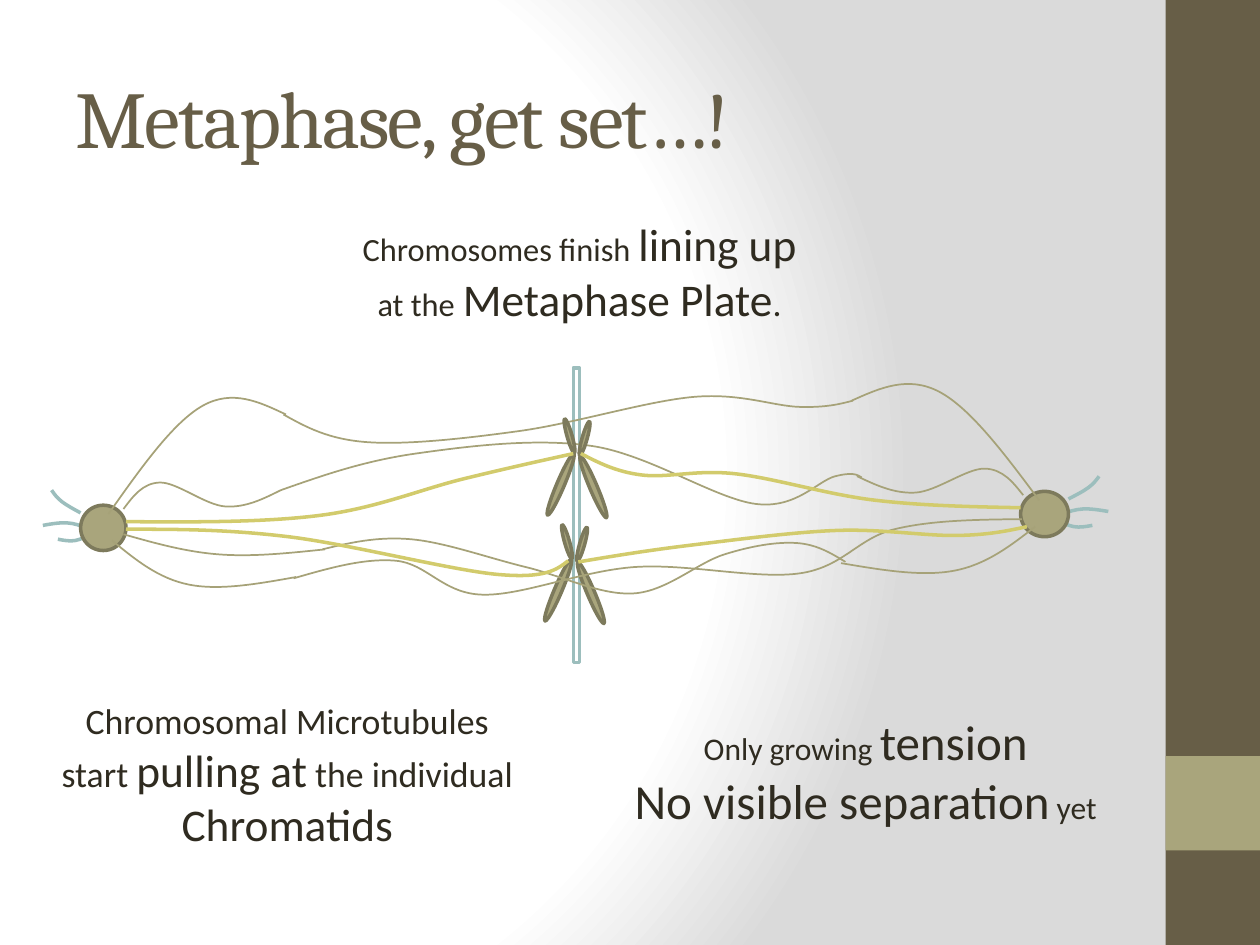
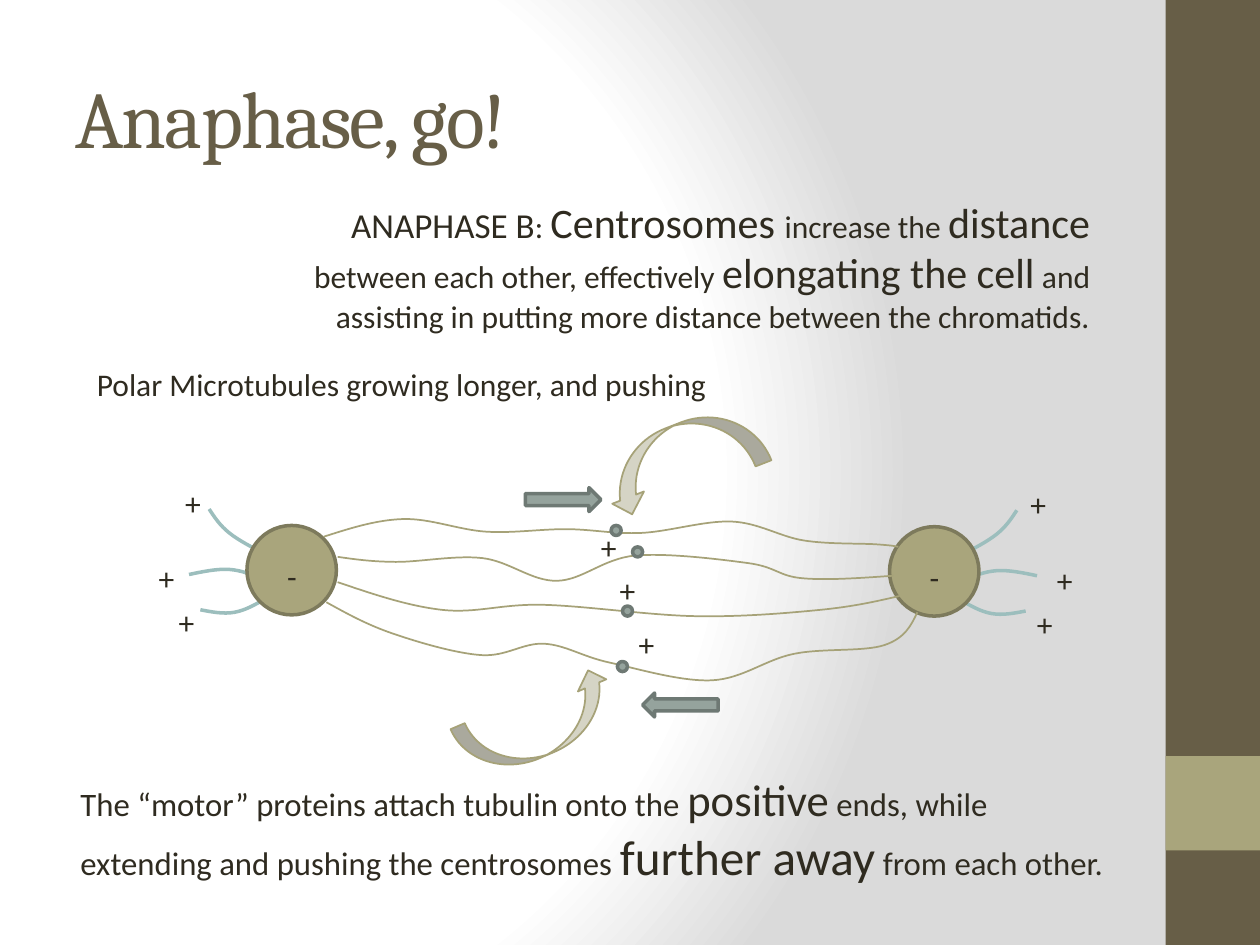
from lxml.etree import SubElement
from pptx import Presentation
from pptx.dml.color import RGBColor
from pptx.enum.shapes import MSO_SHAPE
from pptx.enum.text import MSO_ANCHOR, PP_ALIGN
from pptx.oxml import parse_xml
from pptx.oxml.ns import nsdecls, qn
from pptx.util import Pt

PX = 9144
DARK, OLIVE, EDGE = "675E47", "A9A57C", "7D7A5C"
INK, TEAL, TUBE, GOLD = "2F2B20", "9CBEBD", "A6A278", "D2CB6C"
GREY, SLATE, PALE, WHITE = "95A39D", "6E7974", "D5D4C5", "FFFFFF"


def hue(code):
    """Turn a hex string into a colour."""
    return RGBColor.from_string(code)


def emu(box):
    """Turn px lengths into EMU."""
    return [round(n * PX) for n in box]


def form(slide, kind, box, fill, line=None, width=2, turn=0, flip=False):
    """Add a preset shape."""
    shape = slide.shapes.add_shape(kind, *emu(box))
    shape.shadow.inherit = False
    shape.fill.solid()
    shape.fill.fore_color.rgb = hue(fill)
    if line:
        shape.line.color.rgb = hue(line)
        shape.line.width = Pt(width)
    else:
        shape.line.fill.background()
    shape.rotation = turn
    if flip:
        shape._element.spPr.find(qn("a:xfrm")).set("flipH", "1")
    return shape


def note(slide, box, runs, align=PP_ALIGN.LEFT, indent=0, font="Calibri", tint=INK):
    """Add a text box of (text, size) runs and return it."""
    area = slide.shapes.add_textbox(*emu(box))
    area.text_frame.word_wrap = True
    para = area.text_frame.paragraphs[0]
    para.alignment = align
    props = para._p.get_or_add_pPr()
    props.set("marL", str(indent * PX))
    props.set("indent", "0")
    for text, size in runs:
        if text == "\n":
            para.add_line_break()
            continue
        run = para.add_run()
        run.text = text
        run.font.size = Pt(size)
        run.font.name = font
        run.font.color.rgb = hue(tint)
    return area


def bend(knots):
    """Give the control points of a smooth curve through the knots."""
    pts = [complex(*knot) for knot in knots]
    lean = [(last - first) / 6 for first, last in zip(pts, pts[2:])]
    outs = [p + t for p, t in zip(pts[1:], lean)]
    ins = [p - t for p, t in zip(pts[1:], lean)]
    outs.insert(0, (pts[0] + ins[0]) / 2)
    ins.append((outs[-1] + pts[-1]) / 2)
    return [p for part in zip(outs, ins, pts[1:]) for p in part]


def thread(slide, knots, tint=TUBE, width=1):
    """Draw a smooth open curve through the knots."""
    pen = slide.shapes.build_freeform(*emu(knots[0]), scale=1.0)
    pen.add_line_segments([emu((p.real, p.imag)) for p in bend(knots)], close=False)
    shape = pen.convert_to_shape()
    shape.shadow.inherit = False
    shape.fill.background()
    shape.line.color.rgb = hue(tint)
    shape.line.width = Pt(width)
    track = next(shape._element.iter(qn("a:path")))
    steps = track.findall(qn("a:lnTo"))
    for i in range(0, len(steps), 3):
        curve = SubElement(track, qn("a:cubicBezTo"))
        for step in steps[i:i + 3]:
            curve.append(step[0])
            track.remove(step)


def star(slide, box, rays, tails=(), flip=False, scale=1):
    """Draw a centrosome with its rays and tails, mirrored on request."""
    left, top, wide, _ = box

    def put(knots):
        """Move knots from the box to the slide."""
        return [(left + wide - x * scale if flip else left + x * scale, top + y)
                for x, y in knots]

    for ray in rays:
        thread(slide, put(ray), TEAL, 2)
    form(slide, MSO_SHAPE.OVAL, box, OLIVE, EDGE)
    for tail in tails:
        thread(slide, put(tail))


def sign(slide, x, y, mark="+"):
    """Write one charge sign."""
    note(slide, (x, y, 28, 34), [(mark, 18)])


def pole(slide, box, flip=False):
    """Draw a large centrosome with its charge signs."""
    left, top, wide, _ = box
    star(slide, box, [
        [(15, 23), (-14, 6), (-30, -13)],
        [(13, 43), (-14, 35), (-46, 39)],
        [(15, 58), (-10, 69), (-37, 67)],
    ], flip=flip)
    sign(slide, left + 22, top + 20, "-")
    for x, y in [(-59, -38), (-80, 22), (-64, 57)]:
        sign(slide, left + wide - x - 28 if flip else left + x, top + y)


def pair(slide, left, top):
    """Draw a chromosome of two crossed chromatids."""
    for x, y, wide, high, turn in [
        (20, 2, 4, 28, 15.9), (26, 28, 6, 53, 336.9),
        (8, 0, 4, 28, 344.1), (0, 26, 6, 53, 23.1),
    ]:
        form(slide, MSO_SHAPE.OVAL, (left + x, top + y, wide, high), OLIVE, EDGE, turn=turn)


def frame(deck, title):
    """Add a slide with the shared backdrop, side bands and title."""
    slide = deck.slides.add_slide(deck.slide_layouts[6])
    stops = "".join(
        f'<a:gs pos="{spot}000"><a:srgbClr val="{code}"/></a:gs>'
        for spot, code in [(0, WHITE), (75, WHITE), (100, "DADADA")])
    slide._element.cSld.insert(0, parse_xml(
        f'<p:bg {nsdecls("p", "a")}><p:bgPr><a:gradFill rotWithShape="1">'
        f'<a:gsLst>{stops}</a:gsLst><a:path path="circle">'
        '<a:fillToRect l="20000" t="50000" r="100000" b="50000"/></a:path>'
        '</a:gradFill><a:effectLst/></p:bgPr></p:bg>'))
    form(slide, MSO_SHAPE.RECTANGLE, (925, 0, 75, 750), DARK)
    form(slide, MSO_SHAPE.RECTANGLE, (925, 600, 75, 75), OLIVE)
    head = note(slide, (50, 30, 833, 125), [(title, 46)], font="Cambria", tint=DARK)
    head.text_frame.vertical_anchor = MSO_ANCHOR.MIDDLE
    head.text_frame.paragraphs[0].runs[0]._r.get_or_add_rPr().set("spc", "-100")
    return slide


def meta(deck):
    """Build the metaphase slide."""
    slide = frame(deck, "Metaphase, get set…!")
    note(slide, (255, 167, 398, 100), [
        ("Chromosomes finish", 18.5), (" ", 20.4), ("lining up", 25.9), (" ", 20.4),
        ("at the", 18.5), (" ", 20.4), ("Metaphase Plate", 25.9), (".", 20.4),
    ], PP_ALIGN.CENTER, 12)
    form(slide, MSO_SHAPE.RECTANGLE, (455, 292, 5, 234), WHITE, TEAL)
    rays = [
        [(0, 6), (-15, -3), (-23, -12)],
        [(5, 18), (-11, 14), (-30, 16)],
        [(9, 22), (-4, 28), (-18, 27)],
    ]
    tails = [
        [(22, 7), (97, -79), (163, -72)],
        [(34, 3), (63, -18), (115, 1), (159, -12)],
        [(25, 28), (86, 63), (171, 57)],
    ]
    star(slide, (64, 401, 36, 36), rays, tails)
    pair(slide, 440, 416)
    star(slide, (810, 390, 38, 36), rays, tails, True, 38 / 36)
    for knots in [
        [(98, 424), (174, 440), (258, 436)],
        [(223, 389), (330, 360), (470, 354), (600, 400), (663, 378), (684, 379)],
        [(225, 329), (292, 351), (413, 342), (551, 315), (635, 323), (677, 318)],
        [(256, 436), (326, 428), (417, 450), (503, 471), (575, 440), (632, 431), (671, 446)],
        [(233, 459), (314, 445), (383, 472), (504, 450), (635, 455), (710, 420), (811, 412)],
    ]:
        thread(slide, knots)
    pair(slide, 442, 332)
    for knots in [
        [(100, 414), (254, 409), (368, 380), (455, 360)],
        [(100, 420), (229, 426), (396, 456), (451, 445)],
        [(810, 403), (694, 397), (583, 376), (509, 377), (461, 360)],
        [(459, 446), (546, 433), (664, 421), (760, 425), (815, 418)],
    ]:
        thread(slide, knots, GOLD, 2)
    note(slide, (20, 550, 404, 125), [
        ("Chromosomal Microtubules start ", 20.4), ("pulling at", 25.9),
        (" the individual ", 20.4), ("Chromatids", 25.9),
    ], PP_ALIGN.CENTER, 12)
    note(slide, (483, 560, 408, 104), [
        ("Only growing ", 18), ("tension", 28), ("\n", 28),
        ("No visible separation", 28), (" yet", 18),
    ], PP_ALIGN.CENTER)


def ana(deck):
    """Build the anaphase slide."""
    slide = frame(deck, "Anaphase, go!")
    note(slide, (42, 608, 858, 108), [
        ("The “motor” proteins attach tubulin onto the ", 18.7), ("positive", 25.5),
        (" ends, while extending and pushing the centrosomes ", 18.7),
        ("further away", 28.1), (" from each other.", 18.7),
    ], indent=12)
    pole(slide, (196, 417, 71, 71))
    pole(slide, (706, 418, 71, 71), True)
    for knots in [
        [(257, 426), (320, 412), (386, 422), (450, 420), (509, 423), (581, 414),
         (638, 429), (695, 432), (713, 434)],
        [(268, 442), (314, 446), (383, 443), (442, 461), (504, 441), (594, 447),
         (637, 459), (709, 457)],
        [(259, 478), (312, 503), (382, 520), (432, 511), (484, 526), (565, 540),
         (630, 519), (702, 512), (728, 486)],
        [(268, 462), (351, 484), (431, 480), (552, 489), (651, 484), (714, 473)],
    ]:
        thread(slide, knots)
    for x, y in [(485, 417), (502, 434), (494, 481), (490, 525)]:
        form(slide, MSO_SHAPE.OVAL, (x, y, 8, 8), GREY, SLATE)
    form(slide, MSO_SHAPE.LEFT_ARROW, (510, 550, 60, 19), GREY, SLATE)
    form(slide, MSO_SHAPE.RIGHT_ARROW, (417, 387, 60, 19), GREY, SLATE)
    form(slide, MSO_SHAPE.CURVED_DOWN_ARROW, (475, 337, 132, 54), PALE, TUBE, 1, 338.8, True)
    form(slide, MSO_SHAPE.CURVED_UP_ARROW, (362, 551, 131, 49), PALE, TUBE, 1, 336.8)
    for x, y in [(482, 448), (467, 414), (497, 491)]:
        sign(slide, x, y)
    note(slide, (67, 285, 533, 40), [("Polar Microtubules growing longer, and pushing", 18)])
    note(slide, (192, 151, 683, 121), [
        ("ANAPHASE B", 20), (": ", 18), ("Centrosomes ", 24), ("increase the ", 18),
        ("distance", 24), (" between each other, effectively ", 18),
        ("elongating the cell", 24),
        (" and assisting in putting more distance between the chromatids.", 18),
    ], PP_ALIGN.RIGHT)


def main():
    """Build and save the deck."""
    deck = Presentation()
    deck.slide_width, deck.slide_height = emu((1000, 750))
    meta(deck)
    ana(deck)
    deck.save("out.pptx")


if __name__ == "__main__":
    main()
